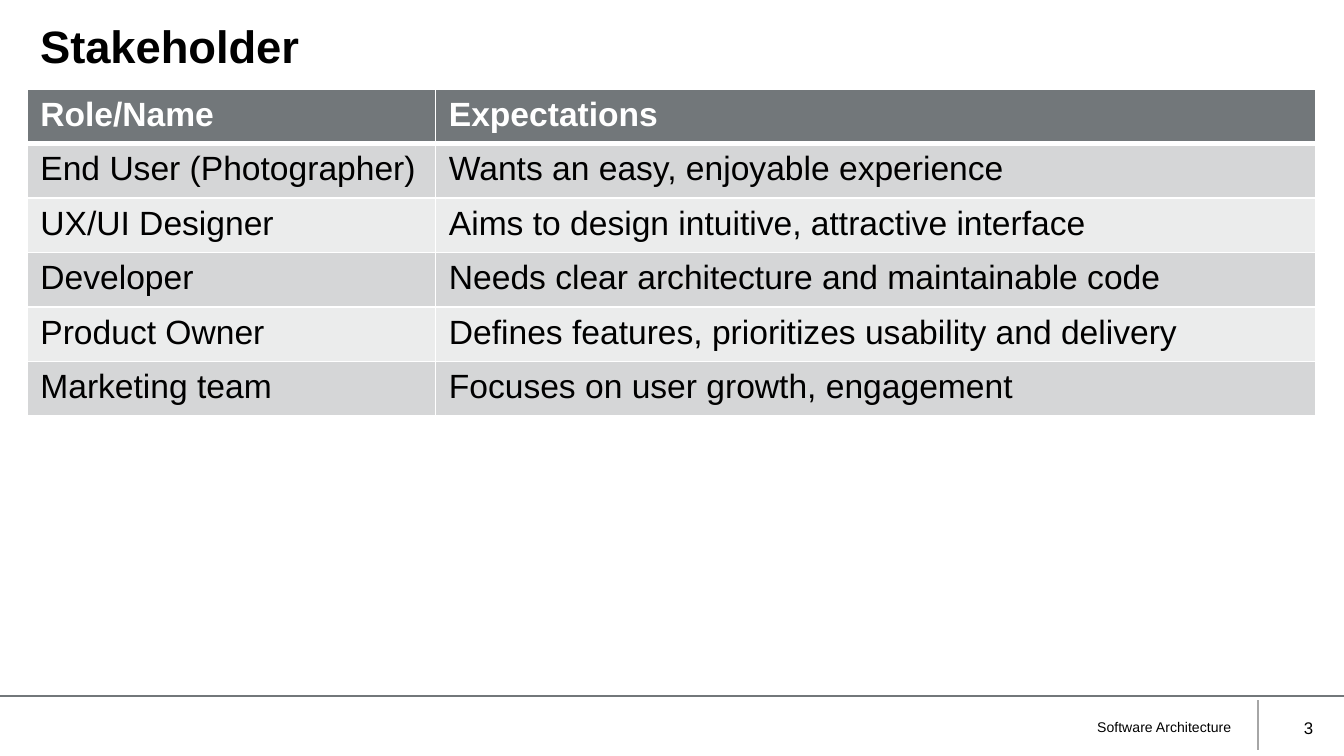
"""Build the stakeholder slide with its table and footer."""
import dataclasses
import typing

import lxml.etree
import pptx
import pptx.dml.color
import pptx.enum.shapes
import pptx.enum.text
import pptx.oxml.ns
import pptx.util

Cm = pptx.util.Cm
Pt = pptx.util.Pt
qn = pptx.oxml.ns.qn
ALIGN = pptx.enum.text.PP_ALIGN
ANCHOR = pptx.enum.text.MSO_ANCHOR


@dataclasses.dataclass(frozen=True)
class Theme:
    font: str = "Arial"
    ink: str = "000000"
    paper: str = "FFFFFF"
    slate: str = "72777A"
    rule: str = "A6A6A6"
    bands: tuple = ("D5D6D7", "EBECEC")
    title: float = 24.3
    body: float = 18
    page: float = 9
    foot: float = 7.5


def rgb(code):
    return pptx.dml.color.RGBColor.from_string(code)


def write(frame, text, *, font, size, color, bold=False, align=ALIGN.LEFT, space=None):
    par = frame.paragraphs[0]
    par.alignment = align
    if space:
        par.line_spacing = space
    run = par.add_run()
    run.text = text
    run.font.name = font
    run.font.size = Pt(size)
    run.font.bold = bold
    run.font.color.rgb = rgb(color)


@dataclasses.dataclass
class Deck:
    theme: Theme
    slide: typing.Any

    def text(self, text, left, top, width, height, anchor=ANCHOR.MIDDLE, **style):
        box = self.slide.shapes.add_textbox(Cm(left), Cm(top), Cm(width), Cm(height))
        frame = box.text_frame
        frame.word_wrap = True
        frame.vertical_anchor = anchor
        write(frame, text, font=self.theme.font, color=self.theme.ink, **style)

    def line(self, start, end, color):
        kind = pptx.enum.shapes.MSO_CONNECTOR.STRAIGHT
        line = self.slide.shapes.add_connector(kind, *map(Cm, start + end))
        line.line.color.rgb = rgb(color)
        line.line.width = Pt(1)
        lxml.etree.SubElement(line._element.spPr, qn("a:effectLst"))

    def edge(self, cell, **widths):
        props = cell._tc.get_or_add_tcPr()
        for side, width in widths.items():
            line = lxml.etree.SubElement(props, qn(f"a:ln{side}"), w=str(Pt(width)))
            fill = lxml.etree.SubElement(line, qn("a:solidFill"))
            lxml.etree.SubElement(fill, qn("a:srgbClr"), val=self.theme.paper)

    def table(self, rows, left, top, widths, height):
        theme = self.theme
        table = self.slide.shapes.add_table(
            len(rows), len(widths), Cm(left), Cm(top),
            Cm(sum(widths)), Cm(height * len(rows))).table
        for col, width in zip(table.columns, widths):
            col.width = Cm(width)
        for r, row in enumerate(rows):
            head = r == 0
            back = theme.slate if head else theme.bands[(r - 1) % 2]
            for c, text in enumerate(row):
                cell = table.cell(r, c)
                self.edge(cell, L=1, R=1, T=3 if r == 1 else 1, B=3 if head else 1)
                cell.fill.solid()
                cell.fill.fore_color.rgb = rgb(back)
                write(cell.text_frame, text, font=theme.font, size=theme.body,
                      color=theme.paper if head else theme.ink, bold=head)


def main():
    theme = Theme()
    show = pptx.Presentation()
    show.slide_width, show.slide_height = Cm(25.4), Cm(14.29)
    deck = Deck(theme, show.slides.add_slide(show.slide_layouts[6]))

    deck.line((23.77, 13.24), (23.77, 14.17), theme.rule)
    deck.line((0, 13.15), (25.4, 13.15), theme.slate)
    deck.text("Stakeholder", 0.51, 0.33, 24.38, 1.22, anchor=ANCHOR.TOP,
              size=theme.title, bold=True, space=0.9)
    deck.text("Software Architecture", 7.75, 13.37, 15.77, 0.76,
              size=theme.foot, align=ALIGN.RIGHT)
    deck.text("3", 23.72, 13.37, 1.35, 0.76, size=theme.page, align=ALIGN.RIGHT)

    rows = [
        ("Role/Name", "Expectations"),
        ("End User (Photographer)", "Wants an easy, enjoyable experience"),
        ("UX/UI Designer", "Aims to design intuitive, attractive interface"),
        ("Developer", "Needs clear architecture and maintainable code"),
        ("Product Owner", "Defines features, prioritizes usability and delivery"),
        ("Marketing team", "Focuses on user growth, engagement"),
    ]
    deck.table(rows, 0.51, 1.68, (7.72, 16.64), 1.03)
    show.save("out.pptx")


if __name__ == "__main__":
    main()
